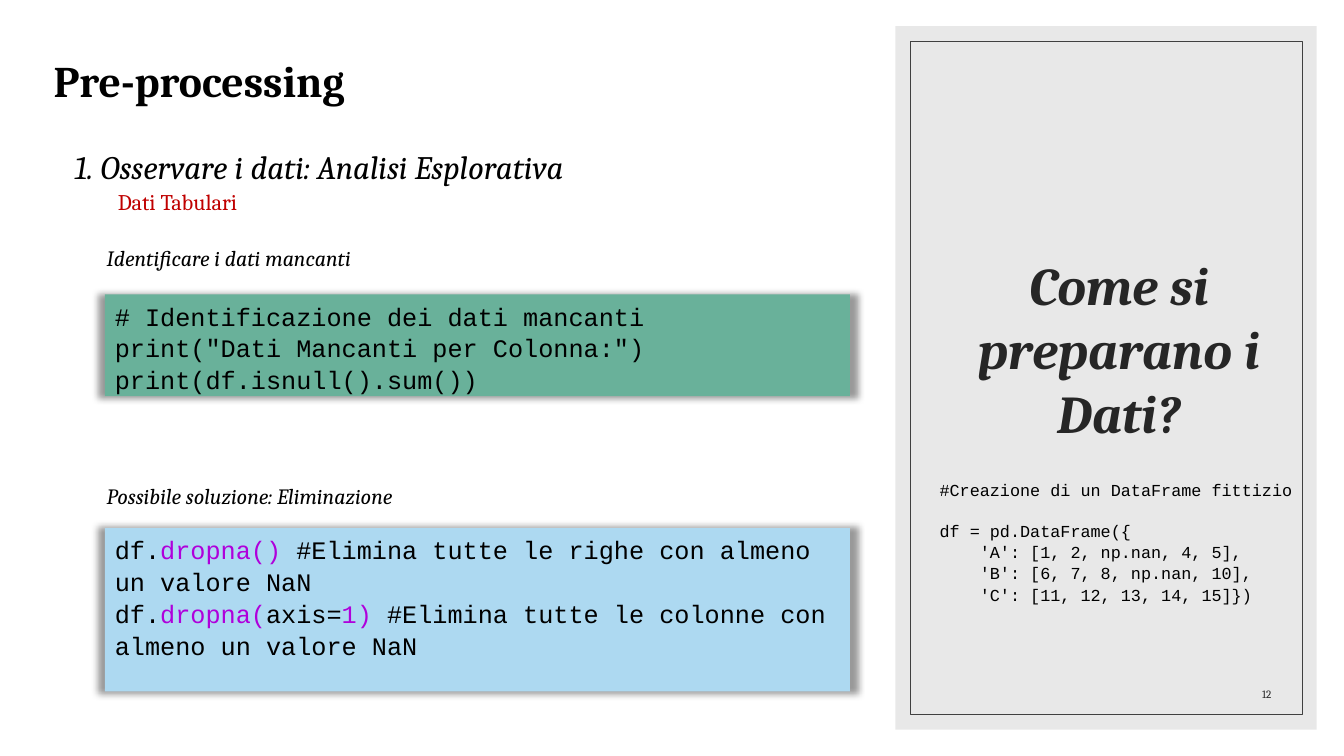
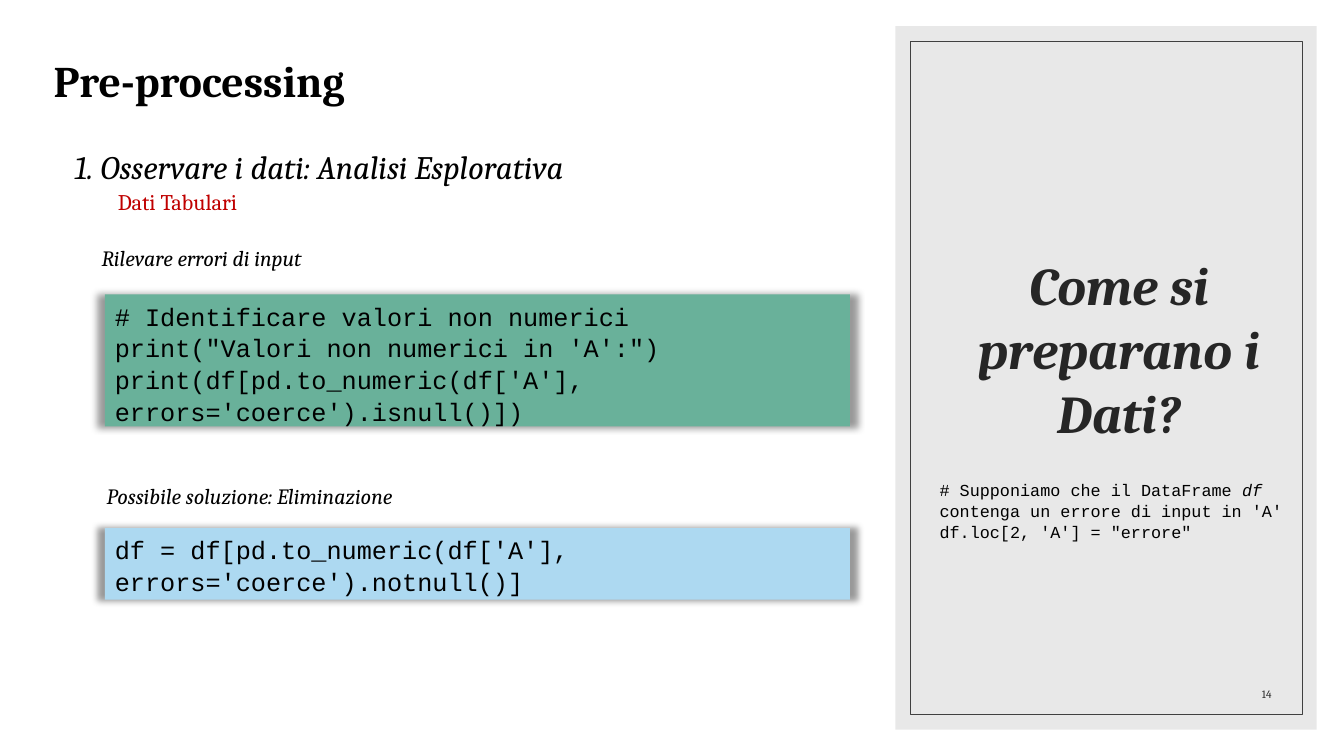
from lxml import etree
from pptx import Presentation
from pptx.dml.color import RGBColor
from pptx.enum.shapes import MSO_SHAPE as Shape
from pptx.enum.text import MSO_ANCHOR as Anchor, PP_ALIGN as Align
from pptx.oxml.ns import qn
from pptx.util import Inches, Pt

BLACK = RGBColor(0x00, 0x00, 0x00)
CHARCOAL = RGBColor(0x26, 0x26, 0x26)
FRAME_GRAY = RGBColor(0x40, 0x40, 0x40)
PANEL_GRAY = RGBColor(0xE8, 0xE8, 0xE8)
GREEN = RGBColor(0x69, 0xB1, 0x9A)
BLUE = RGBColor(0xAD, 0xD9, 0xF1)
RED = RGBColor(0xC0, 0x00, 0x00)
PURPLE = RGBColor(0xAF, 0x00, 0xDB)

SERIF = "Cambria"
MONO = "Courier New"
PROBLEM_TOP, SOLUTION_TOP = 2.92, 5.24


def add_text(slide, lines, left, top, width, height, size, font=SERIF, color=BLACK,
             bold=False, italic=False, align=Align.LEFT, anchor=Anchor.TOP,
             fill=None, spacing=1.0, gaps=None):
    """Each line is a string or a list of (text, format) runs; gaps maps line index to points before."""
    box = [Inches(length) for length in (left, top, width, height)]
    if fill is None:
        shape = slide.shapes.add_textbox(*box)
    else:
        shape = add_rectangle(slide, *box, fill=fill)
    frame = shape.text_frame
    frame.word_wrap = True
    frame.vertical_anchor = anchor
    for index, line in enumerate(lines):
        paragraph = frame.paragraphs[0] if index == 0 else frame.add_paragraph()
        paragraph.alignment = align
        paragraph.line_spacing = spacing
        if gaps and index in gaps:
            paragraph.space_before = Pt(gaps[index])
        for text, style in [(line, {})] if isinstance(line, str) else line:
            run = paragraph.add_run()
            run.text = text
            run.font.name = font
            run.font.size = Pt(size)
            run.font.bold = bold
            run.font.italic = style.get("italic", italic)
            run.font.color.rgb = style.get("color", color)
    return shape


def add_rectangle(slide, left, top, width, height, fill=None, line=None):
    shape = slide.shapes.add_shape(Shape.RECTANGLE, left, top, width, height)
    shape.shadow.inherit = False
    if fill is None:
        shape.fill.background()
    else:
        shape.fill.solid()
        shape.fill.fore_color.rgb = fill
    if line is None:
        shape.line.fill.background()
    else:
        shape.line.color.rgb = line
        shape.line.width = Pt(0.5)
    return shape


# Content that differs between the slides
purple = {"color": PURPLE}
pages = [
    {
        "number": "12",
        "problem": "Identificare i dati mancanti",
        "problem_left": 0.96,
        "problem_code": [
            "# Identificazione dei dati mancanti",
            'print("Dati Mancanti per Colonna:")',
            "print(df.isnull().sum())",
        ],
        "problem_height": 1.01,
        "solution_code": [
            [("df.", {}), ("dropna() ", purple),
             ("#Elimina tutte le righe con almeno un valore NaN", {})],
            [("df.", {}), ("dropna(", purple), ("axis=", {}), ("1) ", purple),
             ("#Elimina tutte le colonne con almeno un valore NaN", {})],
        ],
        "solution_height": 1.62,
        "setup_code": [
            "#Creazione di un DataFrame fittizio",
            "df = pd.DataFrame({",
            "    'A': [1, 2, np.nan, 4, 5],",
            "    'B': [6, 7, 8, np.nan, 10],",
            "    'C': [11, 12, 13, 14, 15]})",
        ],
        "setup_height": 1.82,
        "setup_gaps": {1: 14.3},
    },
    {
        "number": "14",
        "problem": "Rilevare errori di input",
        "problem_left": 0.91,
        "problem_code": [
            "# Identificare valori non numerici",
            "print(\"Valori non numerici in 'A':\")",
            "print(df[pd.to_numeric(df['A'], errors='coerce').isnull()])",
        ],
        "problem_height": 1.31,
        "solution_code": ["df = df[pd.to_numeric(df['A'], errors='coerce').notnull()]"],
        "solution_height": 0.71,
        "setup_code": [
            [("# Supponiamo che il DataFrame ", {}), ("df", {"italic": True}),
             (" contenga un errore di input in 'A'", {})],
            "df.loc[2, 'A'] = \"errore\"",
        ],
        "setup_height": 0.71,
        "setup_gaps": None,
    },
]

presentation = Presentation()
presentation.slide_width = Inches(13.33)
presentation.slide_height = Inches(7.5)

for page in pages:
    slide = presentation.slides.add_slide(presentation.slide_layouts[6])

    # Side panel with its frame, title, setup code and page number
    add_rectangle(slide, Inches(8.88), Inches(0.26), Inches(4.18), Inches(6.98), fill=PANEL_GRAY)
    add_rectangle(slide, Inches(9.03), Inches(0.41), Inches(3.89), Inches(6.68), line=FRAME_GRAY)
    add_text(slide, ["Come si preparano i Dati?"], 9.37, 0.44, 3.46, 6.03, 38, color=CHARCOAL,
             bold=True, italic=True, align=Align.CENTER, anchor=Anchor.MIDDLE)
    add_text(slide, page["setup_code"], 9.22, 4.7, 3.71, page["setup_height"], 12, font=MONO,
             spacing=1.05, gaps=page["setup_gaps"])
    add_text(slide, [page["number"]], 11.37, 6.6, 1.34, 0.4, 8, color=CHARCOAL,
             align=Align.RIGHT, anchor=Anchor.BOTTOM)

    # Headings
    add_text(slide, ["Pre-processing"], 0.18, 0.44, 3.59, 0.66, 31.2, bold=True,
             align=Align.CENTER, anchor=Anchor.BOTTOM)
    add_text(slide, ["1. Osservare i dati: Analisi Esplorativa"], 0.64, 1.1, 6.85, 0.8, 23.4,
             italic=True, anchor=Anchor.BOTTOM)
    add_text(slide, ["Dati Tabulari"], 1.07, 1.82, 1.8, 0.37, 16, color=RED)

    # Problem and solution: a label above a code block with a soft shadow
    for label, label_left, label_top, code, top, height, fill in (
        (page["problem"], page["problem_left"], 1.94,
         page["problem_code"], PROBLEM_TOP, page["problem_height"], GREEN),
        ("Possibile soluzione: Eliminazione", 0.96, 4.3,
         page["solution_code"], SOLUTION_TOP, page["solution_height"], BLUE),
    ):
        add_text(slide, [label], label_left, label_top, 6.85, 0.8, 15.6, italic=True,
                 anchor=Anchor.BOTTOM)
        block = add_text(slide, code, 1.04, top, 7.39, height, 18, font=MONO, fill=fill,
                         spacing=1.05)
        effects = block.element.spPr.find(qn("a:effectLst"))
        shadow = etree.SubElement(effects, qn("a:outerShdw"), blurRad="63500", sx="102000",
                                  sy="102000", algn="ctr", rotWithShape="0")
        shadow_color = etree.SubElement(shadow, qn("a:srgbClr"), val="000000")
        etree.SubElement(shadow_color, qn("a:alpha"), val="40000")

presentation.save("out.pptx")
